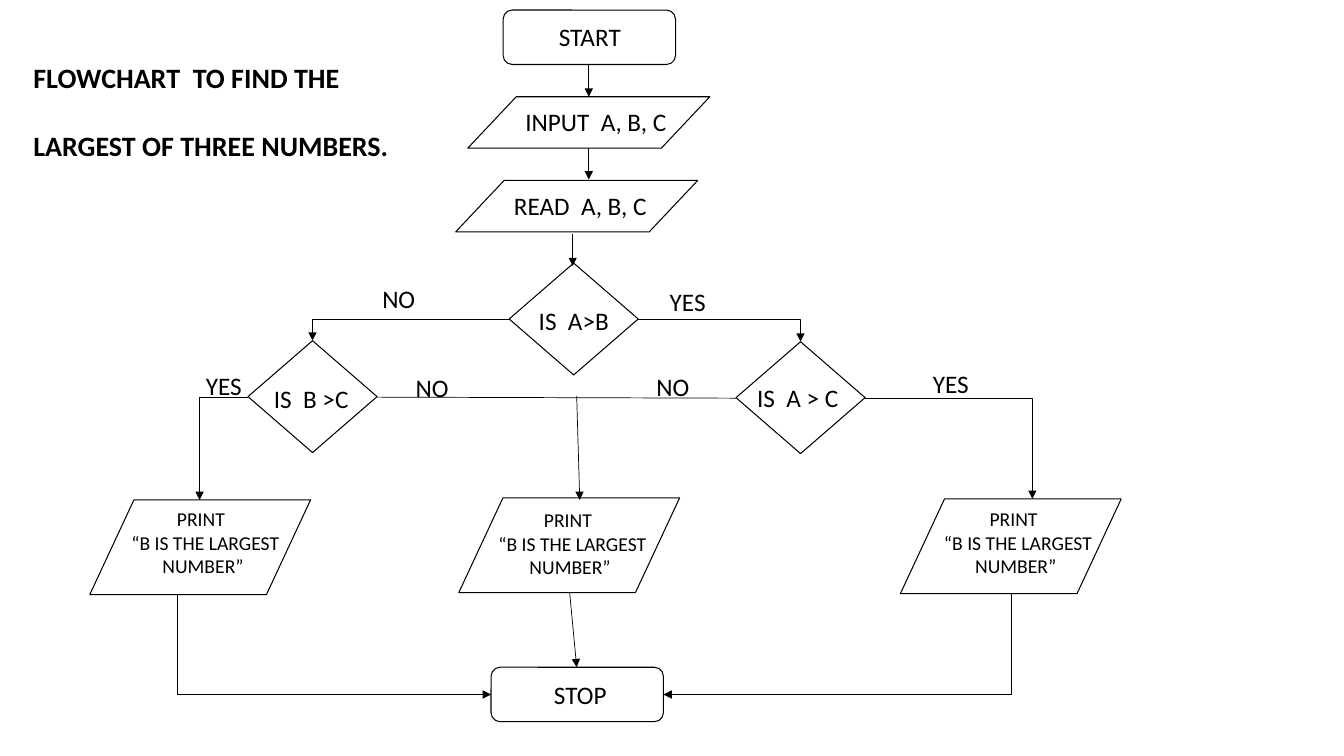
from lxml.etree import SubElement
from pptx import Presentation
from pptx.dml.color import RGBColor
from pptx.enum.shapes import MSO_CONNECTOR as Link, MSO_SHAPE as Preset
from pptx.enum.text import MSO_ANCHOR as Anchor, MSO_AUTO_SIZE as AutoSize, PP_ALIGN as Align
from pptx.oxml.ns import qn
from pptx.util import Inches, Pt

# Grid of 1-inch columns and rows
COLUMNS, ROWS = 13.33, 7.5
BLACK = "000000"

TERMINAL = (Preset.ROUNDED_RECTANGLE, 1.71, 0.54)
DATA = (Preset.FLOWCHART_DATA, 2.4, 0.51)
DECISION = (Preset.FLOWCHART_DECISION, 1.28, 1.11)
PRINT = (Preset.FLOWCHART_DATA, 2.19, 0.94)

# Kind of step, column, row
STEPS = [
    (TERMINAL, 4.99, 0.1), (DATA, 4.64, 0.96), (DATA, 4.52, 1.79),
    (DECISION, 5.05, 2.61), (DECISION, 2.46, 3.38), (DECISION, 7.3, 3.39),
    (PRINT, 0.89, 4.96), (PRINT, 4.55, 4.94), (PRINT, 8.93, 4.95),
    (TERMINAL, 4.87, 6.62),
]

# Text, column, row, width
LABELS = [
    ("START", 5.1, 0.16, 1.5), ("INPUT  A, B, C", 5.1, 1.01, 1.62),
    ("READ  A, B, C", 4.99, 1.84, 1.53), ("IS  A>B ", 5.24, 2.98, 0.96),
    ("IS  B >C ", 2.61, 3.75, 1.01), ("IS  A > C ", 7.4, 3.74, 1.08),
    ("STOP", 5.39, 6.69, 0.73),
]
ANSWERS = {
    ("YES", 0.56): [(6.54, 2.79), (1.94, 3.62), (9.15, 3.61)],
    ("NO", 0.53): [(3.69, 2.76), (6.41, 3.63), (4.02, 3.64)],
}
RESULT = ["PRINT ", " “B IS THE LARGEST NUMBER”"]
RESULT_PLACES = [(0.93, 4.98), (4.57, 4.99), (8.99, 4.98)]

# Start column and row, end column and row
STRAIGHT_ARROWS = [
    (5.84, 0.64, 5.84, 0.96), (5.84, 1.47, 5.84, 1.78), (5.68, 2.32, 5.68, 2.64),
    (5.72, 3.93, 5.75, 4.96), (5.65, 5.88, 5.72, 6.62),
]
ACROSS_THEN_DOWN = [
    (5.05, 3.17, 3.1, 3.38), (6.33, 3.17, 7.94, 3.39),
    (2.46, 3.94, 1.98, 4.96), (8.58, 3.95, 10.24, 4.95),
]
DOWN_THEN_ACROSS = [(1.76, 5.9, 4.87, 6.89), (10.03, 5.89, 6.58, 6.89)]
NO_LINE = (3.74, 3.94, 7.3, 3.95)


def color(value):
    return RGBColor.from_string(value)


def apply(target, values):
    for name, value in values.items():
        setattr(target, name, value)


def grid(*lengths):
    return [Inches(length) for length in lengths]


def style_line(line, width):
    line.color.rgb = color(BLACK)
    line.width = Pt(width)


def write(frame, texts, size, bold=False, **layout):
    frame.text = "\n".join(texts)
    for paragraph in frame.paragraphs:
        apply(paragraph, layout)
        for run in paragraph.runs:
            apply(run.font, {"name": "Calibri", "size": Pt(size), "bold": bold})
            run.font.color.rgb = color(BLACK)


def add_title(slide):
    title = slide.shapes.title
    apply(title, dict(zip(("left", "top", "width", "height"), grid(0.23, 0.22, 3.99, 1.45))))
    apply(title.text_frame, {"word_wrap": True, "auto_size": AutoSize.NONE,
                             "vertical_anchor": Anchor.TOP})
    write(title.text_frame, ["FLOWCHART  TO FIND THE LARGEST OF THREE NUMBERS."], 20,
          bold=True, alignment=Align.LEFT, line_spacing=2.0)


def add_step(slide, kind, column, row):
    preset, width, height = kind
    shape = slide.shapes.add_shape(preset, *grid(column, row, width, height))
    shape.shadow.inherit = False
    shape.fill.background()
    style_line(shape.line, 0.75)


def add_text(slide, texts, column, row, width, height=0.4, size=18, wrap=False):
    frame = slide.shapes.add_textbox(*grid(column, row, width, height)).text_frame
    apply(frame, {"word_wrap": wrap, "auto_size": AutoSize.SHAPE_TO_FIT_TEXT})
    write(frame, texts, size, alignment=Align.CENTER)


def add_link(slide, ends, kind=Link.STRAIGHT, arrow=True):
    connector = slide.shapes.add_connector(kind, *grid(*ends))
    style_line(connector.line, 0.5)
    properties = connector._element.spPr
    if kind == Link.ELBOW:
        properties.find(qn("a:prstGeom")).set("prst", "bentConnector2")
    if arrow:
        SubElement(properties.find(qn("a:ln")), qn("a:tailEnd"), type="triangle")
    SubElement(properties, qn("a:effectLst"))
    return properties


def add_down_then_across(slide, ends):
    """A one-bend connector turned by a quarter about its centre."""
    x1, y1, x2, y2 = ends
    middle_x, middle_y = (x1 + x2) / 2, (y1 + y2) / 2
    half_width, half_height = (y2 - y1) / 2, abs(x2 - x1) / 2
    side = 1 if x2 > x1 else -1
    box = (middle_x + side * half_width, middle_y - half_height,
           middle_x - side * half_width, middle_y + half_height)
    properties = add_link(slide, box, Link.ELBOW)
    quarter_turns = 3 if side == 1 else 1
    properties.find(qn("a:xfrm")).set("rot", str(quarter_turns * 90 * 60000))


def main():
    presentation = Presentation()
    presentation.slide_width, presentation.slide_height = grid(COLUMNS, ROWS)
    slide = presentation.slides.add_slide(presentation.slide_layouts[5])
    add_title(slide)

    # Steps
    for step in STEPS:
        add_step(slide, *step)

    # Links between steps
    for ends in STRAIGHT_ARROWS:
        add_link(slide, ends)
    for ends in ACROSS_THEN_DOWN:
        add_link(slide, ends, Link.ELBOW)
    for ends in DOWN_THEN_ACROSS:
        add_down_then_across(slide, ends)
    add_link(slide, NO_LINE, arrow=False)

    # Step texts and answers
    for text, *place in LABELS:
        add_text(slide, [text], *place)
    for (answer, width), places in ANSWERS.items():
        for place in places:
            add_text(slide, [answer], *place, width)
    for place in RESULT_PLACES:
        add_text(slide, RESULT, *place, 2.17, 0.81, size=14, wrap=True)

    presentation.save("out.pptx")


main()
